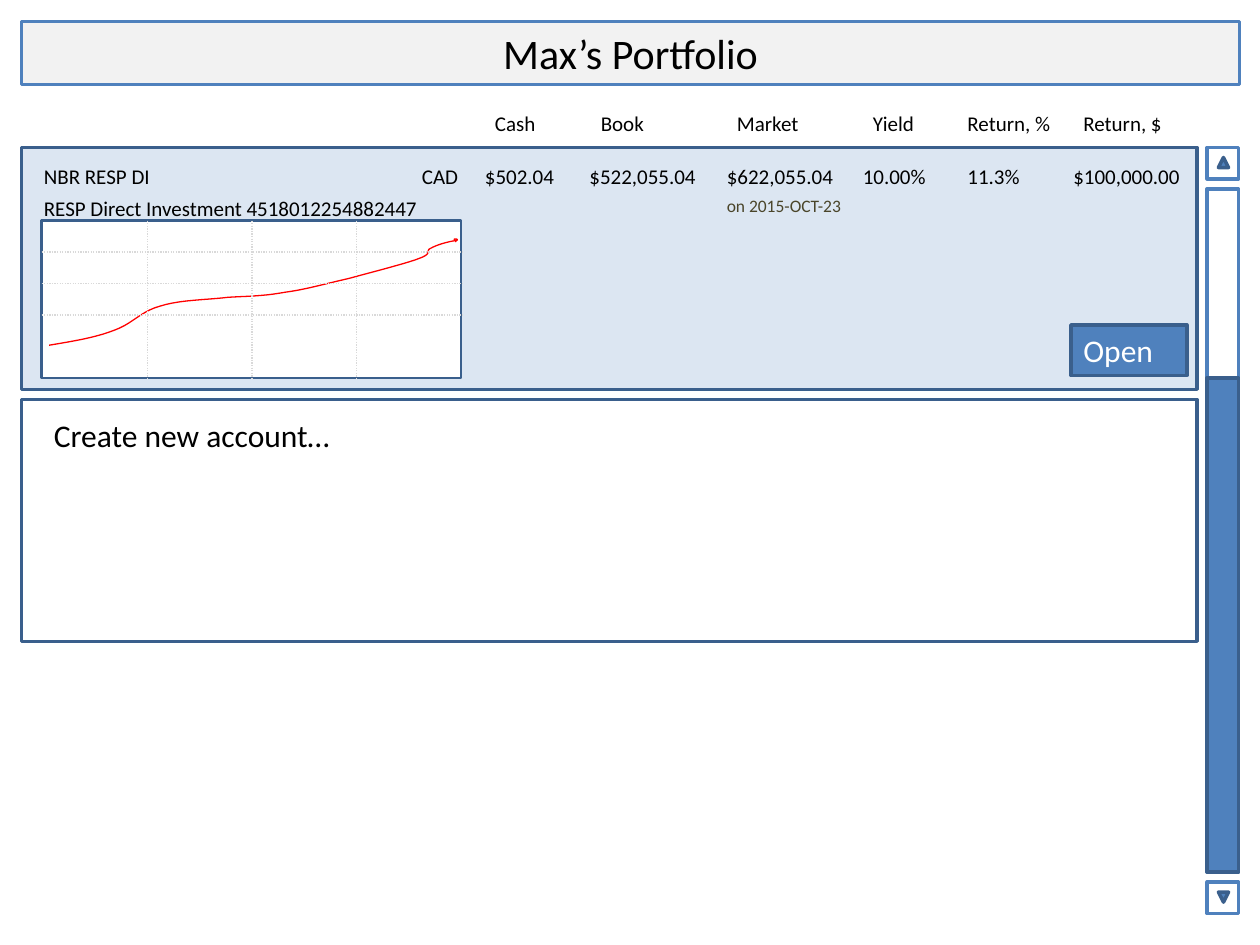
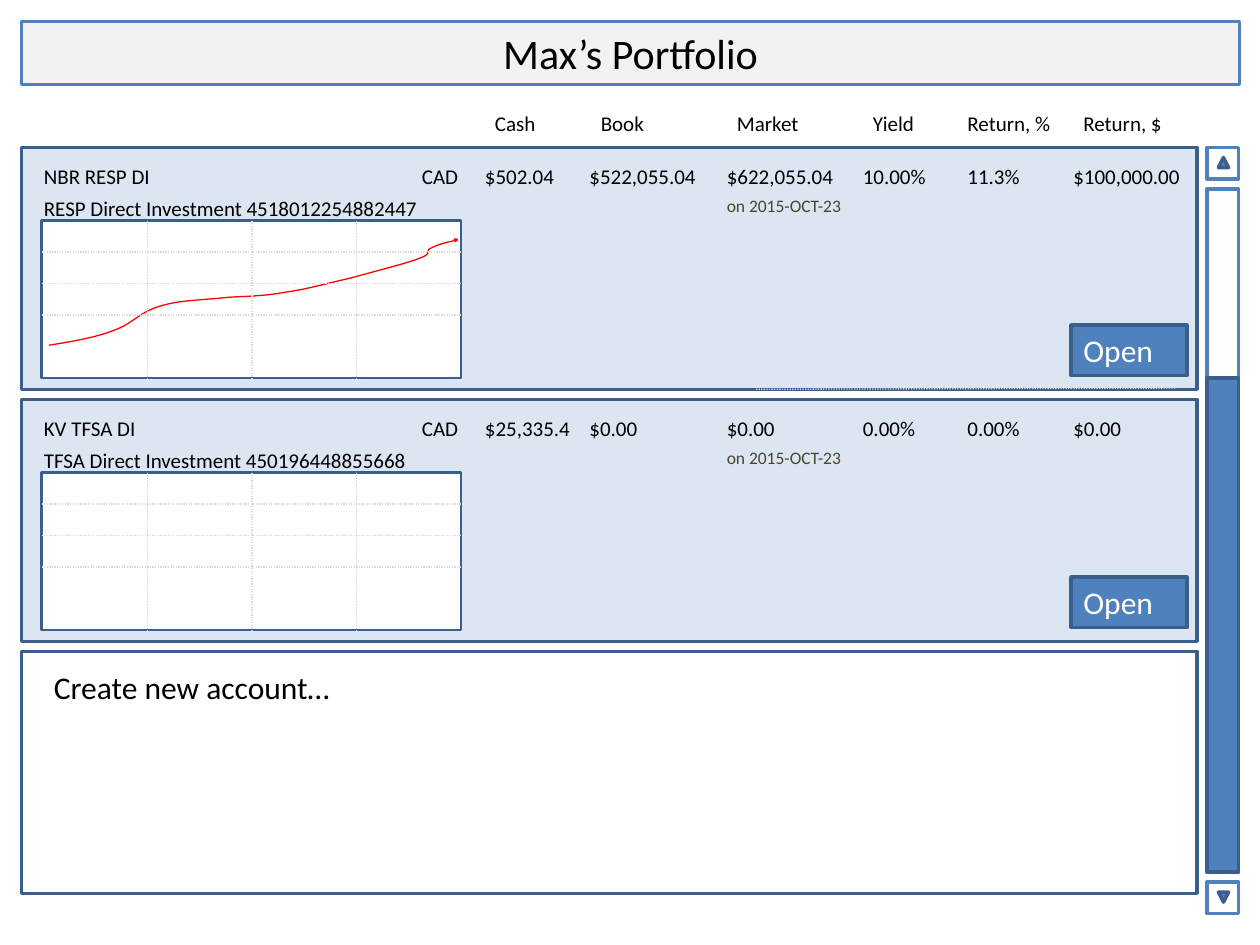
from lxml import etree
from pptx import Presentation
from pptx.dml.color import RGBColor
from pptx.enum import dml, shapes, text
from pptx.oxml import ns
from pptx.util import Inches, Pt

BLACK = RGBColor(0x00, 0x00, 0x00)
WHITE = RGBColor(0xFF, 0xFF, 0xFF)
BLUE = RGBColor(0x4F, 0x81, 0xBD)
NAVY = RGBColor(0x3A, 0x5F, 0x8C)
PALE = RGBColor(0xDC, 0xE6, 0xF2)
SILVER = RGBColor(0xF2, 0xF2, 0xF2)
GRID = RGBColor(0xD9, 0xD9, 0xD9)
RED = RGBColor(0xFF, 0x00, 0x00)
OLIVE = RGBColor(0x4A, 0x45, 0x2A)

RECT = shapes.MSO_SHAPE.RECTANGLE
TRIANGLE = shapes.MSO_SHAPE.ISOSCELES_TRIANGLE
LEFT, CENTER = text.PP_ALIGN.LEFT, text.PP_ALIGN.CENTER
TOP, MIDDLE = text.MSO_ANCHOR.TOP, text.MSO_ANCHOR.MIDDLE

HEADERS = [("Cash", 3.83, 1.08), ("Book", 4.67, 0.67), ("Market", 5.75, 1.08),
           ("Yield", 6.83, 0.67), ("Return, %", 7.58, 0.92), ("Return, $", 8.5, 0.92)]
COLUMNS = [(0.25, 1.67), (3.25, 0.58), (3.75, 1.08), (4.58, 1.08),
           (5.67, 1.08), (6.75, 0.83), (7.58, 0.75), (8.42, 1.08)]
CURVE = [(0.39, 2.74),
         (0.57, 2.71), (0.76, 2.68), (0.91, 2.62),
         (1.05, 2.57), (1.12, 2.47), (1.27, 2.43),
         (1.42, 2.38), (1.65, 2.38), (1.81, 2.36),
         (1.98, 2.35), (2.1, 2.35), (2.26, 2.32),
         (2.42, 2.3), (2.59, 2.25), (2.77, 2.21),
         (2.95, 2.16), (3.23, 2.09), (3.33, 2.05),
         (3.44, 2.01), (3.37, 1.99), (3.42, 1.97),
         (3.47, 1.94), (3.59, 1.91), (3.62, 1.91),
         (3.66, 1.9), (3.57, 1.88), (3.62, 1.92)]
RESP = ("RESP Direct Investment 4518012254882447",
        ["NBR RESP DI", "CAD", "$502.04", "$522,055.04", "$622,055.04",
         "10.00%", "11.3%", "$100,000.00"], CURVE)
TFSA = ("TFSA Direct Investment 450196448855668",
        ["KV TFSA DI", "CAD", "$25,335.4", "$0.00", "$0.00",
         "0.00%", "0.00%", "$0.00"], [])
SLIDES = [([RESP], []), ([RESP, TFSA], [(6, 3.09, 9.33, 3.08)])]


def box(s, kind, x, y, w, h, fill, line, weight=2, rotation=0):
    sp = s.shapes.add_shape(kind, Inches(x), Inches(y), Inches(w), Inches(h))
    sp.shadow.inherit = False
    sp.fill.solid()
    sp.fill.fore_color.rgb = fill
    sp.line.color.rgb = line
    sp.line.width = Pt(weight)
    sp.rotation = rotation
    return sp


def write(sp, words, size=12, color=BLACK, align=LEFT, anchor=TOP):
    tf = sp.text_frame
    tf.word_wrap = True
    tf.vertical_anchor = anchor
    p = tf.paragraphs[0]
    p.alignment = align
    r = p.add_run()
    r.text = words
    r.font.name = "Calibri"
    r.font.size = Pt(size)
    r.font.color.rgb = color


prs = Presentation()
prs.slide_width, prs.slide_height = Inches(10), Inches(7.5)

for accounts, rules in SLIDES:
    s = prs.slides.add_slide(prs.slide_layouts[6])
    title = box(s, RECT, 0.17, 0.17, 9.67, 0.5, SILVER, BLUE, 1.5)
    write(title, "Max’s Portfolio", 24, align=CENTER, anchor=MIDDLE)

    box(s, RECT, 9.58, 1.5, 0.25, 5.42, WHITE, BLUE)
    for y, rotation in [(1.17, 0), (7, 180)]:
        box(s, RECT, 9.58, y, 0.25, 0.25, WHITE, BLUE, rotation=rotation)
        box(s, TRIANGLE, 9.67, y + 0.08, 0.08, 0.08, BLUE, NAVY, rotation=rotation)
    box(s, RECT, 9.58, 3, 0.25, 3.92, BLUE, NAVY)

    labels = [(x, 0.83, w, 0.3, words, 12, BLACK) for words, x, w in HEADERS]
    lines = list(rules)
    for i, (name, values, curve) in enumerate(accounts):
        dy = 2 * i
        box(s, RECT, 0.17, 1.17 + dy, 9.33, 1.92, PALE, NAVY)
        box(s, RECT, 0.33, 1.75 + dy, 3.33, 1.25, WHITE, NAVY, 1.5)
        button = box(s, RECT, 8.5, 2.58 + dy, 0.92, 0.4, BLUE, NAVY)
        write(button, "Open", 18, WHITE)
        labels += [(x, 1.25 + dy, w, 0.3, value, 12, BLACK)
                   for (x, w), value in zip(COLUMNS, values)]
        labels += [(0.25, 1.5 + dy, 3.67, 0.3, name, 12, BLACK),
                   (5.67, 1.5 + dy, 1.17, 0.27, "on 2015-OCT-23", 10, OLIVE)]
        lines += [(x, 1.75 + dy, x, 3 + dy) for x in (1.17, 2, 2.83)]
        lines += [(0.33, y + dy, 3.67, y + dy) for y in (2, 2.25, 2.5)]

        if curve:
            points = []
            for k in range(0, len(curve) - 1, 3):
                for t in [n / 10 for n in range(1, 11)]:
                    weights = ((1 - t) ** 3, 3 * t * (1 - t) ** 2, 3 * t * t * (1 - t), t ** 3)
                    points.append([Inches(sum(c * q[axis] for c, q in zip(weights, curve[k:k + 4])))
                                   for axis in (0, 1)])
            fb = s.shapes.build_freeform(Inches(curve[0][0]), Inches(curve[0][1]))
            fb.add_line_segments(points, close=False)
            sp = fb.convert_to_shape()
            sp.shadow.inherit = False
            sp.fill.background()
            sp.line.color.rgb = RED
            sp.line.width = Pt(0.75)

    for x1, y1, x2, y2 in lines:
        cn = s.shapes.add_connector(shapes.MSO_CONNECTOR.STRAIGHT,
                                    Inches(x1), Inches(y1), Inches(x2), Inches(y2))
        cn.line.color.rgb = GRID
        cn.line.width = Pt(0.75)
        cn.line.dash_style = dml.MSO_LINE.ROUND_DOT
        etree.SubElement(cn._element.spPr, ns.qn("a:effectLst"))

    y = 1.17 + 2 * len(accounts)
    box(s, RECT, 0.17, y, 9.33, 1.92, WHITE, NAVY)
    labels.append((0.33, y + 0.08, 4, 0.42, "Create new account…", 18, BLACK))
    for x, y, w, h, words, size, color in labels:
        sp = s.shapes.add_textbox(Inches(x), Inches(y), Inches(w), Inches(h))
        write(sp, words, size, color)

prs.save("out.pptx")
